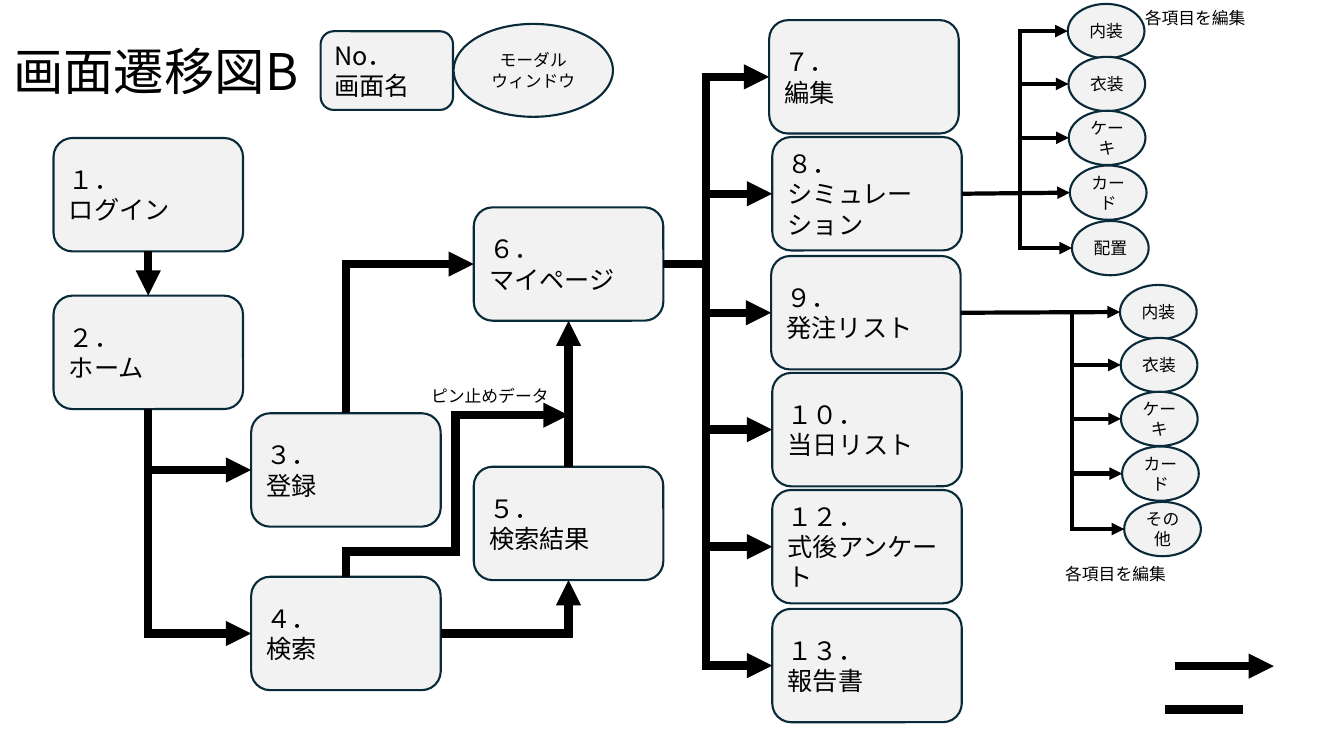
import dataclasses
import itertools

import pptx
import pptx.dml.color
import pptx.enum.shapes
import pptx.enum.text
import pptx.oxml.ns
import pptx.util
from lxml import etree

FONT = "Noto Sans CJK JP"
BLACK, PALE_GREY, NAVY = "000000", "F2F2F2", "092A39"
THICK, THIN = 6, 3
SCREEN_SIZE = (135.4, 81)
MODAL_SIZE = (54.8, 38.8)
Pt = pptx.util.Pt
Shapes = pptx.enum.shapes.MSO_SHAPE
Align = pptx.enum.text.PP_ALIGN
Anchor = pptx.enum.text.MSO_ANCHOR


@dataclasses.dataclass
class Box:
    left: float
    top: float
    width: float
    height: float

    @property
    def right(self):
        return self.left + self.width

    @property
    def bottom(self):
        return self.top + self.height

    @property
    def center(self):
        return self.left + self.width / 2

    @property
    def middle(self):
        return self.top + self.height / 2

    def lengths(self):
        return [Pt(value) for value in (self.left, self.top, self.width, self.height)]


def color(hex_string):
    return pptx.dml.color.RGBColor.from_string(hex_string)


def write(shape, lines, size, align=Align.LEFT, **frame_format):
    """Put one paragraph per line into the shape."""
    frame = shape.text_frame
    for name, value in {"word_wrap": True, **frame_format}.items():
        setattr(frame, name, value)
    frame.text = "\n".join(lines)
    for paragraph in frame.paragraphs:
        paragraph.alignment = align
        font = paragraph.runs[0].font
        for name, value in {"name": FONT, "size": Pt(size), "bold": False}.items():
            setattr(font, name, value)
        font.color.rgb = color(BLACK)
        properties = paragraph.runs[0]._r.get_or_add_rPr()
        east_asian = etree.SubElement(properties, pptx.oxml.ns.qn("a:ea"))
        east_asian.set("typeface", FONT)


def add_node(slide, preset, box, lines, size, align):
    shape = slide.shapes.add_shape(preset, *box.lengths())
    shape.shadow.inherit = False
    shape.fill.solid()
    shape.fill.fore_color.rgb = color(PALE_GREY)
    shape.line.color.rgb = color(NAVY)
    shape.line.width = Pt(1.5)
    write(shape, lines, size, align, vertical_anchor=Anchor.MIDDLE)
    return box


def add_screen(slide, box, number, name):
    return add_node(slide, Shapes.ROUNDED_RECTANGLE, box, [number, name], 18, Align.LEFT)


def add_modal(slide, box, name):
    return add_node(slide, Shapes.OVAL, box, [name], 12, Align.CENTER)


def add_label(slide, box, text):
    write(slide.shapes.add_textbox(*box.lengths()), [text], 12,
          auto_size=pptx.enum.text.MSO_AUTO_SIZE.SHAPE_TO_FIT_TEXT)


def add_route(slide, points, weight=THICK, arrow=True):
    """Draw straight segments that overlap by half a line width at corners."""
    segments = list(itertools.pairwise(points))
    for index, ((x1, y1), (x2, y2)) in enumerate(segments):
        last = index == len(segments) - 1
        if not last:
            x2 += ((x2 > x1) - (x2 < x1)) * weight / 2
            y2 += ((y2 > y1) - (y2 < y1)) * weight / 2
        connector = slide.shapes.add_connector(
            pptx.enum.shapes.MSO_CONNECTOR.STRAIGHT, Pt(x1), Pt(y1), Pt(x2), Pt(y2))
        connector.line.color.rgb = color(BLACK)
        connector.line.width = Pt(weight)
        if last and arrow:
            tail = etree.SubElement(connector.line._get_or_add_ln(), pptx.oxml.ns.qn("a:tailEnd"))
            tail.set("type", "triangle")
        etree.SubElement(connector._element.spPr, pptx.oxml.ns.qn("a:effectLst"))


def build_header(slide, box):
    # Title and key to the node shapes
    title = slide.shapes.title
    title_box = Box(box.left, box.top, 229.7, box.height)
    for name, value in zip(("left", "top", "width", "height"), title_box.lengths()):
        setattr(title, name, value)
    write(title, ["画面遷移図B"], 36, vertical_anchor=Anchor.TOP,
          auto_size=pptx.enum.text.MSO_AUTO_SIZE.SHAPE_TO_FIT_TEXT)
    title.text_frame.paragraphs[0].line_spacing = 1.5
    add_screen(slide, Box(box.left + 226.8, box.top + 18.7, 94.6, 56.2), "No．", "画面名")
    add_modal(slide, Box(box.left + 321.8, box.top + 13.5, 113.8, 66.4), "モーダルウィンドウ")


def build_entry_flow(slide, box):
    # Screens 1 to 6, in three columns
    first, second, third = box.left, box.left + 141.2, box.left + 300.2
    places = {
        "login": (first, 0, "１．", "ログイン"),
        "home": (first, 112.6, "２．", "ホーム"),
        "register": (second, 196.6, "３．", "登録"),
        "search": (second, 313.4, "４．", "検索"),
        "results": (third, 234.8, "５．", "検索結果"),
        "my_page": (third, 49.5, "６．", "マイページ"),
    }
    screens = {
        key: add_screen(slide, Box(left, box.top + offset, *SCREEN_SIZE), number, name)
        for key, (left, offset, number, name) in places.items()
    }
    login, home, register, search, results, my_page = screens.values()

    # Arrows between the screens
    add_route(slide, [(login.center, login.bottom), (home.center, home.top)])
    add_route(slide, [(home.center, home.bottom), (home.center, search.middle),
                      (search.left, search.middle)])
    add_route(slide, [(home.center, register.middle), (register.left, register.middle)])
    add_route(slide, [(register.center, register.top), (register.center, my_page.middle),
                      (my_page.left, my_page.middle)])
    add_route(slide, [(search.right, search.middle), (results.center, search.middle),
                      (results.center, results.bottom)])
    add_route(slide, [(results.center, results.top), (my_page.center, my_page.bottom)])

    # Pinned data joins the way to my page
    turn_x, low_y, high_y = third - 13, search.top - 18, results.top - 36.8
    add_route(slide, [(search.center, search.top), (search.center, low_y), (turn_x, low_y),
                      (turn_x, high_y), (results.center, high_y)])
    add_label(slide, Box(turn_x - 24.5, high_y - 24.4, 98.6, 21.6), "ピン止めデータ")
    return my_page


def build_menu(slide, box, source):
    # Screens 7 to 13, reached from my page
    rows = [
        (0, 0, "７．", "編集"),
        (2.2, 83.5, "８．", "シミュレーション"),
        (1.4, 168.5, "９．", "発注リスト"),
        (2.2, 252, "１０．", "当日リスト"),
        (2.2, 335.6, "１２．", "式後アンケート"),
        (2.2, 420.5, "１３．", "報告書"),
    ]
    screens = [add_screen(slide, Box(box.left + x, box.top + y, *SCREEN_SIZE), number, name)
               for x, y, number, name in rows]
    trunk_x = box.left - 45
    add_route(slide, [(trunk_x, screens[0].middle), (trunk_x, screens[-1].middle)], arrow=False)
    add_route(slide, [(source.right, source.middle), (trunk_x, source.middle)], arrow=False)
    for screen in screens:
        add_route(slide, [(trunk_x - THICK / 2, screen.middle), (screen.left, screen.middle)])
    return screens


def build_modals(slide, box, names, source, entry_row):
    # Modal windows on a trunk; the source screen feeds one row directly
    offsets = [(0, 0), (0.5, 37.8), (0.7, 76.3), (1.5, 115.4), (3, 155)]
    modals = [add_modal(slide, Box(box.left + x, box.top + y, *MODAL_SIZE), name)
              for (x, y), name in zip(offsets, names)]
    trunk_x = box.left - 34
    add_route(slide, [(trunk_x, modals[0].middle), (trunk_x, modals[-1].middle)], THIN, False)
    for row, modal in enumerate(modals):
        start_x = source.right if row == entry_row else trunk_x - THIN / 2
        start_y = source.middle if row == entry_row else modal.middle
        add_route(slide, [(start_x, start_y), (modal.left, modal.middle)], THIN)


def build_line_samples(slide, box):
    # Spare arrow and line
    add_route(slide, [(box.left + 6.5, box.top), (box.right, box.top)])
    add_route(slide, [(box.left, box.bottom), (box.left + 55.5, box.bottom)], arrow=False)


def main():
    presentation = pptx.Presentation()
    presentation.slide_width, presentation.slide_height = Pt(960), Pt(540)
    slide = presentation.slides.add_slide(presentation.slide_layouts[5])
    build_header(slide, Box(2.2, 3.6, 436, 66.2))
    my_page = build_entry_flow(slide, Box(38.2, 98.6, 436, 395))
    menu = build_menu(slide, Box(549.4, 14.4, 138, 502), my_page)
    shared_names = ["内装", "衣装", "ケーキ", "カード"]
    build_modals(slide, Box(762.7, 2.8, 58, 194), shared_names + ["配置"], menu[1], 3)
    build_modals(slide, Box(800, 203.5, 58, 194), shared_names + ["その他"], menu[2], 0)
    for left, top in [(810.7, 2.2), (753.8, 398.9)]:
        add_label(slide, Box(left, top, 98.6, 21.6), "各項目を編集")
    build_line_samples(slide, Box(832.5, 475.8, 77.5, 31))
    presentation.save("out.pptx")


if __name__ == "__main__":
    main()
